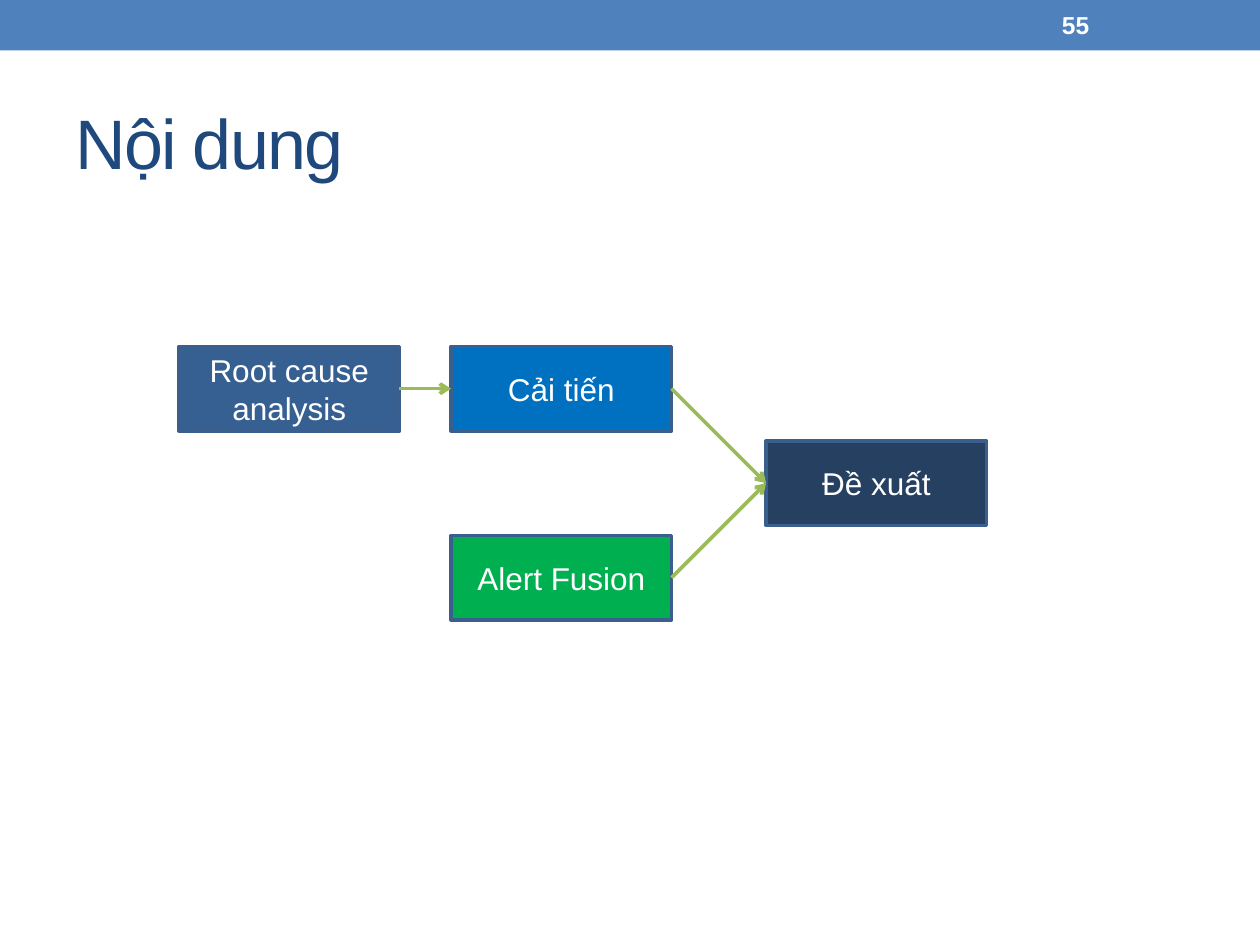
from lxml.etree import SubElement
from pptx import Presentation
from pptx.dml.color import RGBColor
from pptx.enum.shapes import MSO_CONNECTOR, MSO_SHAPE
from pptx.enum.text import MSO_ANCHOR, PP_ALIGN
from pptx.oxml.ns import qn
from pptx.util import Inches, Pt

COLORS = {
    "band": "4F81BD", "title": "1F497D", "white": "FFFFFF",
    "border": "3A5F8C", "arrow": "9BBB59",
    "cause": "376092", "improve": "0070C0", "fusion": "00B050", "proposal": "254061",
}
TITLE = "Nội dung"
PAGE_NUMBER = "55"
# name: (text, column, row)
STEPS = {
    "cause": ("Root cause analysis", 0, 0),
    "improve": ("Cải tiến", 1, 0),
    "fusion": ("Alert Fusion", 1, 2),
    "proposal": ("Đề xuất", 2, 1),
}
FLOWS = [("cause", "improve"), ("improve", "proposal"), ("fusion", "proposal")]

COLUMN_LEFTS = (1.42, 3.58, 6.08)
FIRST_ROW, ROW_STEP = 2.75, 0.75
STEP_WIDTH, STEP_HEIGHT = 1.75, 0.67
LINE_WIDTH = 2.08
RIGHT_SIDE, LEFT_SIDE = 3, 1


def color(name):
    return RGBColor.from_string(COLORS[name])


def write(shape, text, ink, align=PP_ALIGN.LEFT, **font_format):
    frame = shape.text_frame
    frame.word_wrap = True
    frame.vertical_anchor = MSO_ANCHOR.MIDDLE
    para = frame.paragraphs[0]
    para.alignment = align
    span = para.add_run()
    span.text = text
    for name, value in {"name": "Arial", **font_format}.items():
        setattr(span.font, name, value)
    span.font.color.rgb = color(ink)
    return span


def add_box(page, fill, *place):
    box = page.shapes.add_shape(MSO_SHAPE.RECTANGLE, *map(Inches, place))
    box.shadow.inherit = False
    box.fill.solid()
    box.fill.fore_color.rgb = color(fill)
    box.line.fill.background()
    return box


def add_step(page, name):
    text, column, row = STEPS[name]
    box = add_box(page, name, COLUMN_LEFTS[column], FIRST_ROW + row * ROW_STEP,
                  STEP_WIDTH, STEP_HEIGHT)
    box.line.color.rgb = color("border")
    box.line.width = Pt(LINE_WIDTH)
    write(box, text, "white", PP_ALIGN.CENTER, size=Pt(18))
    return box


def add_arrow(page, source, target):
    arrow = page.shapes.add_connector(MSO_CONNECTOR.STRAIGHT, 0, 0, 0, 0)
    arrow.begin_connect(source, RIGHT_SIDE)
    arrow.end_connect(target, LEFT_SIDE)
    arrow.line.color.rgb = color("arrow")
    arrow.line.width = Pt(LINE_WIDTH)
    SubElement(arrow.line._get_or_add_ln(), qn("a:tailEnd"), type="arrow")
    SubElement(arrow._element.spPr, qn("a:effectLst"))


def main():
    deck = Presentation()
    deck.slide_width, deck.slide_height = Inches(10), Inches(7.5)
    page = deck.slides.add_slide(deck.slide_layouts[5])

    add_box(page, "band", 0, 0, 10, 0.4)

    title = page.shapes.title
    place = {"left": 0.5, "top": 0.58, "width": 9, "height": 1.08}
    for name, value in place.items():
        setattr(title, name, Inches(value))
    span = write(title, TITLE, "title", size=Pt(40))
    span.font._element.set("spc", "-100")

    boxes = {name: add_step(page, name) for name in STEPS}
    for source, target in FLOWS:
        add_arrow(page, boxes[source], boxes[target])

    number = page.shapes.add_textbox(*map(Inches, (8.33, 0.02, 1.17, 0.36)))
    write(number, PAGE_NUMBER, "white", size=Pt(14), bold=True)

    deck.save("out.pptx")


if __name__ == "__main__":
    main()
